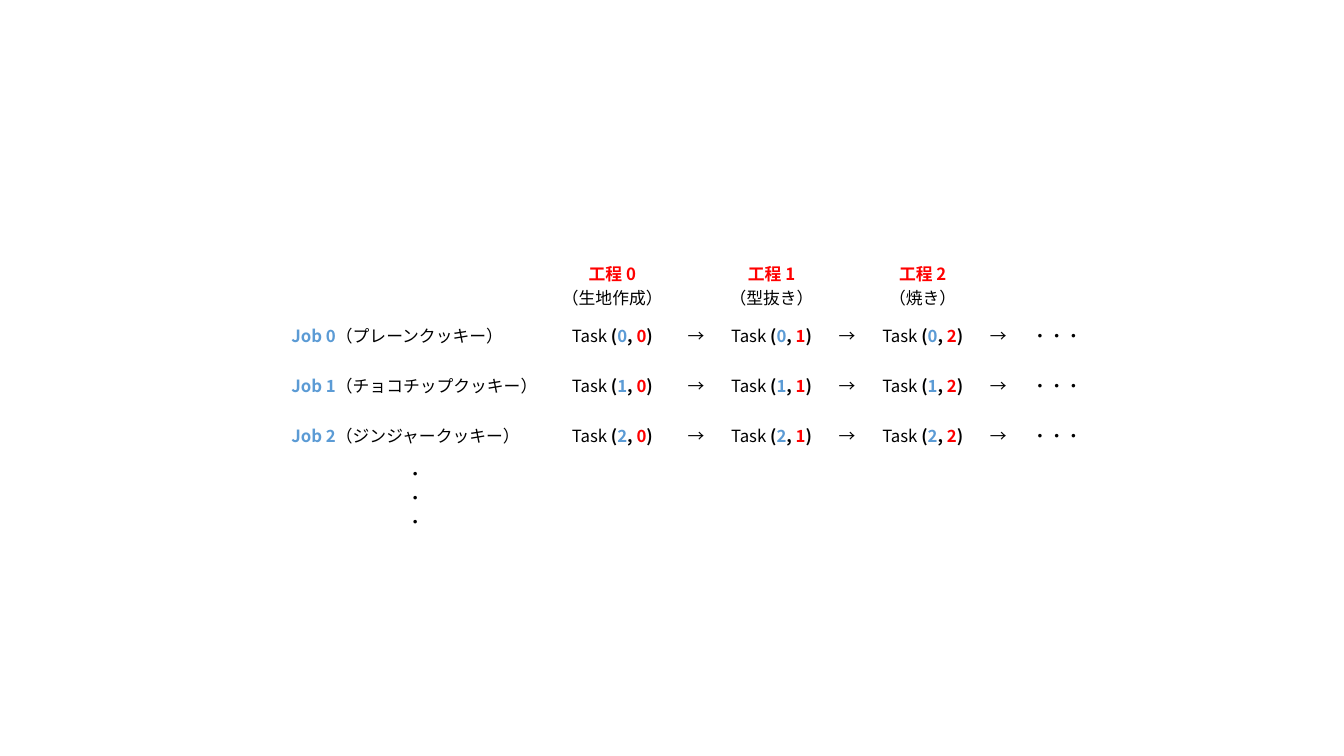
"""Build a slide with a table of cookie jobs and their tasks by process step."""
from typing import NamedTuple

from lxml import etree
from pptx import Presentation
from pptx.dml.color import RGBColor
from pptx.enum.lang import MSO_LANGUAGE_ID
from pptx.enum.text import MSO_ANCHOR, PP_ALIGN
from pptx.oxml.ns import qn
from pptx.table import Table, _Cell
from pptx.util import Pt

LEFT = PP_ALIGN.LEFT
CENTER = PP_ALIGN.CENTER
MIDDLE = MSO_ANCHOR.MIDDLE
JAPANESE = MSO_LANGUAGE_ID.JAPANESE
FONT = "Noto Sans CJK JP"
BLACK, RED, BLUE = "000000", "FF0000", "5B9BD5"
BLANK_LAYOUT = 6
COLUMN_WIDTHS = (191.5, 90, 29.5, 78.5, 29.5, 78.5, 29.5, 54)
ROW_HEIGHT = 29.2
TABLE_LEFT, TABLE_TOP = 200.9, 182.9


class Piece(NamedTuple):
    """A stretch of text in one format."""

    text: str
    color: str = BLACK
    bold: bool = False


class Job(NamedTuple):
    """A cookie job and its row number."""

    number: int
    cookie: str


class Step(NamedTuple):
    """A process step and its column number."""

    number: int
    name: str

    @property
    def column(self) -> int:
        """Return the table column of this step."""
        return 1 + 2 * self.number


JOBS = [Job(i, name) for i, name in enumerate(
    ("プレーンクッキー", "チョコチップクッキー", "ジンジャークッキー"))]
STEPS = [Step(i, name) for i, name in enumerate(("生地作成", "型抜き", "焼き"))]


def rgb(color: str) -> RGBColor:
    """Turn a hex string into a colour."""
    return RGBColor.from_string(color)


def add_text(paragraph, text: str, *, color: str = BLACK, bold: bool = False, size: float = 12) -> None:
    """Add one formatted run to a paragraph."""
    run = paragraph.add_run()
    run.text = text
    font = run.font
    font.size, font.bold, font.name = Pt(size), bold, FONT
    font.color.rgb = rgb(color)
    font.language_id = JAPANESE
    etree.SubElement(run._r.get_or_add_rPr(), qn("a:ea"), typeface=FONT)


def fill_cell(cell: _Cell, *lines: list[Piece], align=CENTER) -> None:
    """Write each list of pieces as one paragraph of a cell."""
    for index, pieces in enumerate(lines):
        frame = cell.text_frame
        paragraph = frame.add_paragraph() if index else frame.paragraphs[0]
        paragraph.alignment = align
        for piece in pieces:
            add_text(paragraph, piece.text, color=piece.color, bold=piece.bold)


def task_pieces(job: Job, step: Step) -> list[Piece]:
    """Return the coloured label of one task."""
    return [
        Piece("Task "),
        Piece("(", bold=True),
        Piece(str(job.number), BLUE, True),
        Piece(", ", bold=True),
        Piece(str(step.number), RED, True),
        Piece(")", bold=True),
    ]


def fill_job_row(table: Table, job: Job) -> None:
    """Write a job, its tasks and the arrows between them."""
    row = job.number + 1
    label = [Piece(f"Job {job.number}", BLUE, True), Piece(f"（{job.cookie}）")]
    fill_cell(table.cell(row, 0), label, align=LEFT)
    for step in STEPS:
        fill_cell(table.cell(row, step.column), task_pieces(job, step))
        fill_cell(table.cell(row, step.column + 1), [Piece("→")])
    fill_cell(table.cell(row, len(COLUMN_WIDTHS) - 1), [Piece("・・・")])


def add_plain_table(slide) -> Table:
    """Add a table without banding or fills."""
    row_count = len(JOBS) + 2
    table = slide.shapes.add_table(
        row_count, len(COLUMN_WIDTHS), Pt(TABLE_LEFT), Pt(TABLE_TOP),
        Pt(sum(COLUMN_WIDTHS)), Pt(row_count * ROW_HEIGHT)).table
    table.first_row = table.horz_banding = False
    for column, width in zip(table.columns, COLUMN_WIDTHS):
        column.width = Pt(width)
    for row in table.rows:
        row.height = Pt(ROW_HEIGHT)
    for cell in table.iter_cells():
        cell.fill.background()
        cell.vertical_anchor = MIDDLE
    return table


def main() -> None:
    """Build and save the presentation."""
    presentation = Presentation()
    presentation.slide_width, presentation.slide_height = Pt(960), Pt(540)
    slide = presentation.slides.add_slide(presentation.slide_layouts[BLANK_LAYOUT])
    table = add_plain_table(slide)
    for step in STEPS:
        fill_cell(table.cell(0, step.column),
                  [Piece(f"工程 {step.number}", RED, True)], [Piece(f"（{step.name}）")])
    for job in JOBS:
        fill_job_row(table, job)
    fill_cell(table.cell(len(JOBS) + 1, 0), *[[Piece("・")]] * 3)
    presentation.save("out.pptx")


main()
